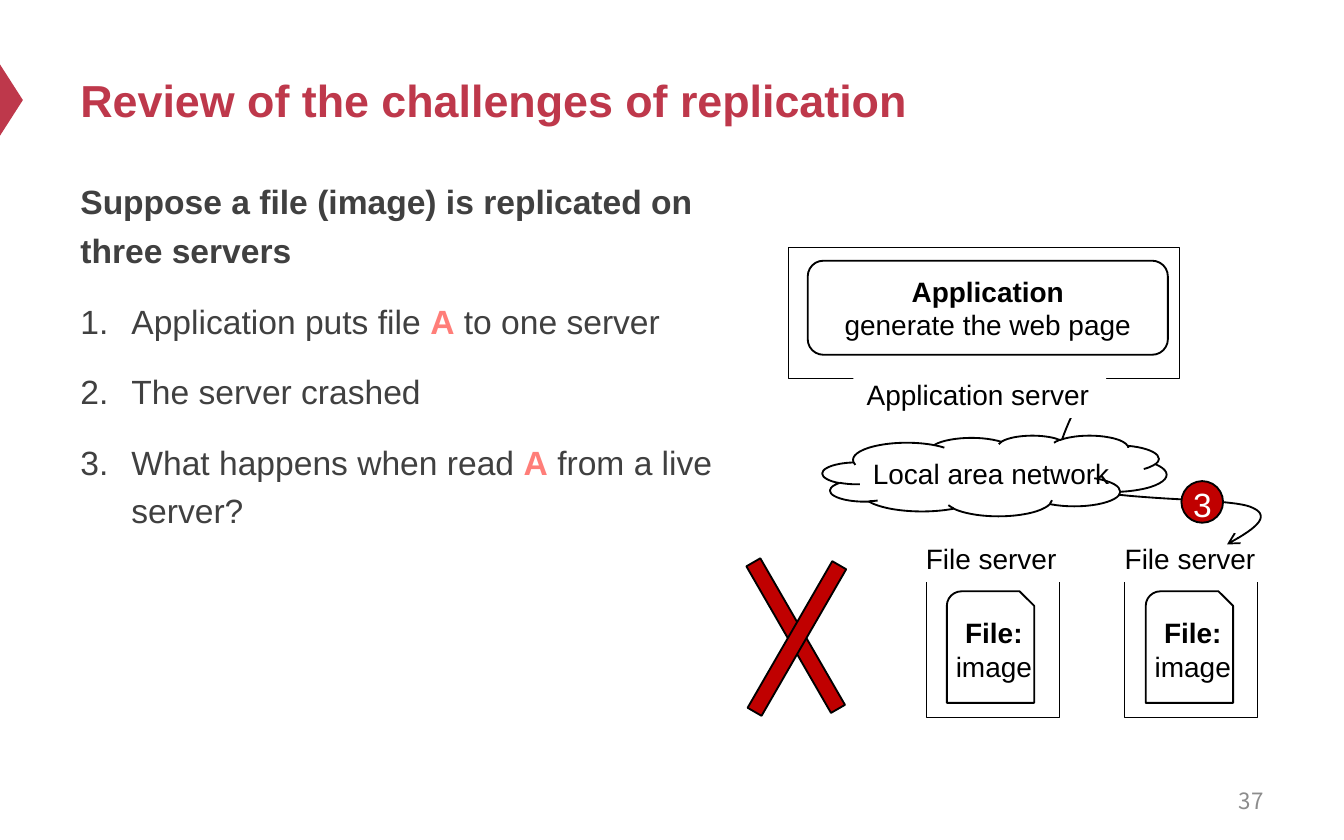
"""Build the slide on the challenges of replication."""
from lxml import etree
from pptx import Presentation
from pptx.dml.color import RGBColor
from pptx.enum.shapes import MSO_SHAPE
from pptx.enum.text import MSO_ANCHOR, PP_ALIGN
from pptx.oxml.ns import qn
from pptx.util import Inches, Pt

RECT, ROUND, OVAL = MSO_SHAPE.RECTANGLE, MSO_SHAPE.ROUNDED_RECTANGLE, MSO_SHAPE.OVAL
SNIP, CLOUD, WEDGE = MSO_SHAPE.SNIP_ROUND_RECTANGLE, MSO_SHAPE.CLOUD, MSO_SHAPE.ISOSCELES_TRIANGLE
LEFT, MID, RIGHT = PP_ALIGN.LEFT, PP_ALIGN.CENTER, PP_ALIGN.RIGHT

THEME = {
    "font": "Arial", "page font": "Noto Sans CJK SC",
    "brand": "BE384B", "body": "404040", "mark": "FF7E79", "page": "8C8C8C",
    "ink": "000000", "paper": "FFFFFF", "alarm": "C00000",
    "title size": 24, "body size": 18, "label size": 15, "page size": 12,
}

TITLE = "Review of the challenges of replication"
LEAD = "Suppose a file (image) is replicated on three servers"
STEPS = [
    ["Application puts file ", "A", " to one server"],
    ["The server crashed"],
    ["What happens when read ", "A", " from a live server?"],
]
APP = [("Application", True), ("generate the web page", False)]
FILE = [("File:", True), ("image", False)]
PAGE = "37"
SERVERS = [6.89, 8.37]
ROUTE = [
    (7.99, 3.06), (7.89, 3.28), (7.79, 3.49), (8.01, 3.61), (8.23, 3.73),
    (9.12, 3.7), (9.3, 3.77), (9.49, 3.84), (9.31, 3.95), (9.13, 4.05),
]
CROSS = [(5.29, 4.67, 60), (5.3, 4.69, 300)]

deck = Presentation()
deck.slide_width, deck.slide_height = Inches(10), Inches(6.25)
slide = deck.slides.add_slide(deck.slide_layouts[6])
shapes = slide.shapes


def color(name):
    return RGBColor.from_string(THEME[name])


def style(font, size, ink, bold=False, face="font"):
    font.name, font.size, font.bold = THEME[face], Pt(THEME[size]), bold
    font.color.rgb = color(ink)


def draw(kind, box, fill="paper", line=1, turn=0):
    shape = shapes.add_shape(kind, *map(Inches, box))
    shape.shadow.inherit = False
    shape.rotation = turn
    shape.fill.solid()
    shape.fill.fore_color.rgb = color(fill)
    if line:
        shape.line.color.rgb, shape.line.width = color("ink"), Pt(line)
    else:
        shape.line.fill.background()
    return shape


def write(shape, rows, size="label size", ink="ink", align=MID,
          anchor=MSO_ANCHOR.TOP, wrap=True, face="font"):
    frame = shape.text_frame
    frame.word_wrap, frame.vertical_anchor = wrap, anchor
    for i, (text, bold) in enumerate(rows):
        para = frame.add_paragraph() if i else frame.paragraphs[0]
        para.text, para.alignment = text, align
        style(para.font, size, ink, bold, face)


def place(box):
    return shapes.add_textbox(*map(Inches, box))


def label(text, box):
    write(draw(RECT, box, line=0), [(text, False)], align=LEFT, wrap=False)


def body():
    frame = place((0.5, 1.24, 4.9, 4.12)).text_frame
    frame.word_wrap = True
    for i, parts in enumerate([[LEAD], *STEPS]):
        para = frame.add_paragraph() if i else frame.paragraphs[0]
        para.line_spacing = 1.2
        if i:
            para.space_before = Pt(12)
            props = para._p.get_or_add_pPr()
            props.set("marL", str(Inches(0.38)))
            props.set("indent", str(-Inches(0.38)))
            etree.SubElement(props, qn("a:buAutoNum"), type="arabicPeriod")
        style(para.font, "body size", "body", not i)
        for part in parts:
            run = para.add_run()
            run.text = part
            if part == "A":
                run.font.bold, run.font.color.rgb = True, color("mark")


def server(left):
    draw(RECT, (left, 4.26, 0.99, 1.08), line=0.5)
    draw(SNIP, (left + 0.155, 4.4, 0.65, 0.83))
    write(place((left + 0.01, 4.53, 0.99, 0.61)), FILE)
    label("File server", (left - 0.1, 3.98, 1.19, 0.35))


def bend(knots, t):
    parts = zip((1, 3, 3, 1), range(4), knots)
    terms = [(n * (1 - t) ** (3 - k) * t ** k, knot) for n, k, knot in parts]
    return tuple(Inches(sum(w * knot[axis] for w, knot in terms)) for axis in (0, 1))


def route(steps=24):
    dots = [bend(ROUTE[i:i + 4], n / steps)
            for i in range(0, len(ROUTE) - 1, 3) for n in range(1, steps + 1)]
    pen = shapes.build_freeform(*map(Inches, ROUTE[0]))
    pen.add_line_segments(dots, close=False)
    curve = pen.convert_to_shape()
    curve.shadow.inherit = False
    curve.fill.background()
    curve.line.color.rgb, curve.line.width = color("ink"), Pt(1)
    etree.SubElement(curve.line._get_or_add_ln(), qn("a:tailEnd"), type="arrow")


def main():
    draw(WEDGE, (-0.18, 0.66, 0.53, 0.17), "brand", 0, 90)
    write(place((0.5, 0.25, 9, 0.98)), [(TITLE, True)], "title size", "brand",
          LEFT, MSO_ANCHOR.MIDDLE)
    body()
    write(place((7.17, 5.79, 2.33, 0.33)), [(PAGE, False)], "page size", "page",
          RIGHT, MSO_ANCHOR.MIDDLE, face="page font")
    for left in SERVERS:
        server(left)
    route()
    draw(RECT, (5.87, 1.84, 2.91, 0.98), line=0.5)
    write(draw(ROUND, (6.01, 1.94, 2.68, 0.7)), APP, anchor=MSO_ANCHOR.MIDDLE)
    label("Application server", (6.35, 2.76, 1.88, 0.35))
    draw(OVAL, (8.79, 3.58, 0.31, 0.31), "alarm")
    write(place((8.78, 3.55, 0.34, 0.4)), [("3", False)], "body size", "paper",
          LEFT, wrap=False)
    draw(CLOUD, (6.12, 3.24, 2.56, 0.6))
    write(place((6.16, 3.35, 2.43, 0.35)), [("Local area network", False)])
    for left, top, turn in CROSS:
        draw(RECT, (left, top, 1.26, 0.12), "alarm", turn=turn)
    deck.save("out.pptx")


if __name__ == "__main__":
    main()
